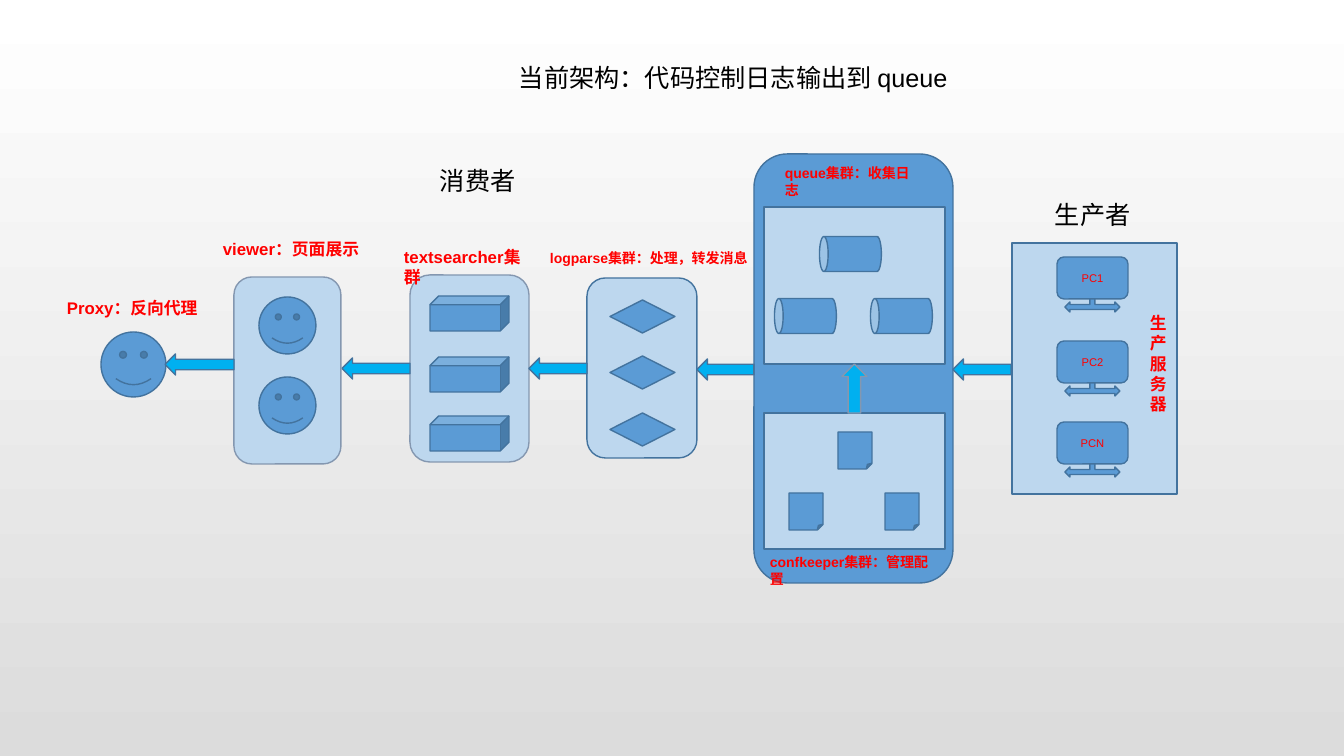
from pptx import Presentation, util as u
from pptx.dml.color import RGBColor
from pptx.enum import shapes, text

KIND = shapes.MSO_SHAPE
BLUE = RGBColor(0x5B, 0x9B, 0xD5)
PALE = RGBColor(0xBD, 0xD7, 0xEE)
CYAN = RGBColor(0x00, 0xB0, 0xF0)
EDGE = RGBColor(0x43, 0x73, 0x9E)
SOFT_EDGE = RGBColor(0x84, 0x97, 0xB0)
RED = RGBColor(0xFF, 0x00, 0x00)
BLACK = RGBColor(0x00, 0x00, 0x00)
BACKGROUND = (RGBColor(0xFF, 0xFF, 0xFF), RGBColor(0xDC, 0xDC, 0xDC))

WIDTH, HEIGHT = 1344, 756
EMU_PER_PIXEL = 914400 / 100.8

# kind, (left, top, width, height), fill, edge
PANELS = [
    (KIND.ROUNDED_RECTANGLE, (754, 154, 199, 429), BLUE, EDGE),
    (KIND.RECTANGLE, (1012, 243, 165, 251), PALE, EDGE),
    (KIND.RECTANGLE, (764, 207, 181, 157), PALE, EDGE),
    (KIND.RECTANGLE, (764, 413, 181, 136), PALE, EDGE),
    (KIND.ROUNDED_RECTANGLE, (587, 278, 110, 180), PALE, EDGE),
    (KIND.ROUNDED_RECTANGLE, (410, 275, 119, 187), PALE, SOFT_EDGE),
    (KIND.ROUNDED_RECTANGLE, (234, 277, 107, 187), PALE, SOFT_EDGE),
]

# kind, (width, height), rotation, [(left, top), ...]
NODES = [
    (KIND.CAN, (35, 62), 270, [(833, 223), (788, 285), (884, 285)]),
    (KIND.FOLDED_CORNER, (34, 37), 0, [(838, 432), (789, 493), (885, 493)]),
    (KIND.FLOWCHART_DECISION, (65, 33), 0, [(610, 300), (610, 356), (610, 413)]),
    (KIND.CUBE, (79, 35), 0, [(430, 296), (430, 357), (430, 416)]),
    (KIND.SMILEY_FACE, (57, 57), 0, [(259, 297), (259, 377)]),
    (KIND.SMILEY_FACE, (65, 65), 0, [(101, 332)]),
]

SERVERS = [("PC1", 257), ("PC2", 341), ("PCN", 422)]
SCREEN_LEFT, SCREEN_WIDTH, SCREEN_HEIGHT = 1057, 71, 42
STAND_WIDTH, STAND_HEIGHT, STAND_DROP = 55, 20, 35

# (left, top, width) of the flow arrows, from producer to proxy
FLOW_ARROWS = [(953, 359, 58), (697, 359, 57), (529, 358, 58),
               (342, 358, 68), (165, 354, 69)]
ARROW_HEIGHT = 21
CONFIG_ARROW = (842, 364, 25, 49)

HEADING = {"size": u.Pt(18), "bold": False}
LABEL = {"size": u.Pt(12), "bold": True}
SMALL_LABEL = {"size": u.Pt(10), "bold": True}
SCREEN_TEXT = {"size": u.Pt(8), "bold": False}

# lines, (left, top, width, height), format, colour
TEXTS = [
    (["queue集群：收集日志"], (775, 160, 154, 27), SMALL_LABEL, RED),
    (["生", "产", "服务器"], (1140, 308, 37, 112), LABEL, RED),
    (["confkeeper集群：管理配置"], (760, 549, 187, 27), SMALL_LABEL, RED),
    (["logparse集群：处理，转发消息"], (540, 245, 218, 27), SMALL_LABEL, RED),
    (["textsearcher集群"], (394, 242, 151, 30), LABEL, RED),
    (["viewer：页面展示"], (213, 234, 157, 30), LABEL, RED),
    (["Proxy：反向代理"], (57, 293, 151, 30), LABEL, RED),
    (["生产者"], (1045, 194, 164, 40), HEADING, BLACK),
    (["消费者"], (430, 160, 164, 40), HEADING, BLACK),
    (["当前架构：代码控制日志输出到 queue"], (509, 57, 800, 40), HEADING, BLACK),
]


def emu(box):
    """Turn pixel lengths into EMU."""
    return [u.Emu(round(length * EMU_PER_PIXEL)) for length in box]


def write(frame, lines, font_format, colour):
    """Fill a text frame, one paragraph for each line."""
    for index, line in enumerate(lines):
        paragraph = frame.add_paragraph() if index else frame.paragraphs[0]
        run = paragraph.add_run()
        run.text = line
        for name, value in {"name": "Arial", **font_format}.items():
            setattr(run.font, name, value)
        run.font.color.rgb = colour


def add_figure(slide, kind, box, fill=BLUE, edge=EDGE, rotation=0):
    """Add a flat preset shape with a thin outline."""
    shape = slide.shapes.add_shape(kind, *emu(box))
    shape.shadow.inherit = False
    shape.fill.solid()
    shape.fill.fore_color.rgb = fill
    shape.line.color.rgb = edge
    shape.line.width = u.Pt(1)
    shape.rotation = rotation
    return shape


def add_server(slide, name, top):
    """Add a named monitor on its stand."""
    stand_left = SCREEN_LEFT + (SCREEN_WIDTH - STAND_WIDTH) / 2
    add_figure(slide, KIND.LEFT_RIGHT_UP_ARROW,
               (stand_left, top + STAND_DROP, STAND_WIDTH, STAND_HEIGHT))
    screen = add_figure(slide, KIND.ROUNDED_RECTANGLE,
                        (SCREEN_LEFT, top, SCREEN_WIDTH, SCREEN_HEIGHT))
    frame = screen.text_frame
    frame.vertical_anchor = text.MSO_ANCHOR.MIDDLE
    write(frame, [name], SCREEN_TEXT, RED)
    frame.paragraphs[0].alignment = text.PP_ALIGN.CENTER


def add_text(slide, lines, box, font_format, colour):
    """Add a wrapping text box that grows with its text."""
    frame = slide.shapes.add_textbox(*emu(box)).text_frame
    frame.word_wrap = True
    frame.auto_size = text.MSO_AUTO_SIZE.SHAPE_TO_FIT_TEXT
    write(frame, lines, font_format, colour)


def paint_background(slide):
    """Shade the slide from top to bottom."""
    fill = slide.background.fill
    fill.gradient()
    fill.gradient_angle = 270
    for position, (stop, colour) in enumerate(zip(fill.gradient_stops, BACKGROUND)):
        stop.position = position
        stop.color.rgb = colour


presentation = Presentation()
presentation.slide_width, presentation.slide_height = emu((WIDTH, HEIGHT))
slide = presentation.slides.add_slide(presentation.slide_layouts[6])
paint_background(slide)

for panel in PANELS:
    add_figure(slide, *panel)
for kind, size, rotation, places in NODES:
    for place in places:
        add_figure(slide, kind, place + size, rotation=rotation)
for server in SERVERS:
    add_server(slide, *server)
for arrow in FLOW_ARROWS:
    add_figure(slide, KIND.LEFT_ARROW, arrow + (ARROW_HEIGHT,), CYAN)
add_figure(slide, KIND.UP_ARROW, CONFIG_ARROW, CYAN, SOFT_EDGE)
for entry in TEXTS:
    add_text(slide, *entry)

presentation.save("out.pptx")
